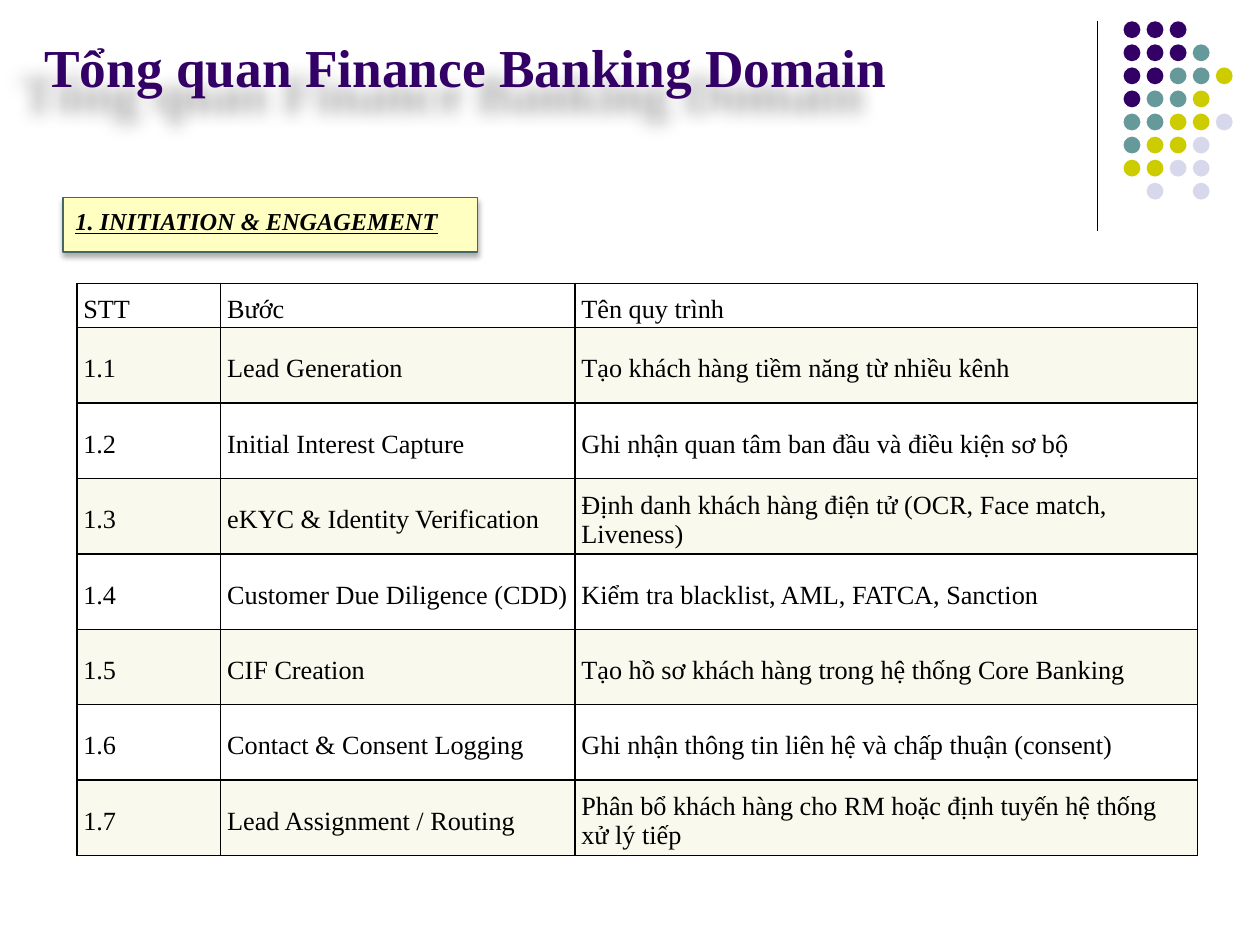
from dataclasses import dataclass

from lxml import etree
from pptx import Presentation
from pptx.dml.color import RGBColor
from pptx.enum.shapes import MSO_CONNECTOR, MSO_SHAPE
from pptx.enum.text import MSO_ANCHOR, MSO_AUTO_SIZE, PP_ALIGN
from pptx.oxml.ns import qn
from pptx.util import Cm, Pt

STRAIGHT = MSO_CONNECTOR.STRAIGHT
RECTANGLE, OVAL = MSO_SHAPE.RECTANGLE, MSO_SHAPE.OVAL
TOP, MIDDLE, BOTTOM = MSO_ANCHOR.TOP, MSO_ANCHOR.MIDDLE, MSO_ANCHOR.BOTTOM
LEFT = PP_ALIGN.LEFT
NO_FIT = MSO_AUTO_SIZE.NONE


@dataclass(frozen=True)
class Theme:
    """Colours, font and type sizes of the slide."""
    font: str = "Times New Roman"
    ink: str = "000000"
    purple: str = "330066"
    teal: str = "669999"
    lime: str = "CCCC00"
    lilac: str = "D8D8EC"
    label_fill: str = "FFFFC2"
    label_line: str = "456767"
    band: str = "E2E2AA"
    band_opacity: int = 20
    title_size: float = 30.5
    label_size: float = 13.9
    table_size: float = 15


THEME = Theme()
DOT_COLORS = {"P": THEME.purple, "T": THEME.teal, "Y": THEME.lime, "L": THEME.lilac}
DOT_ROWS = ["PPP", "PPPT", "PPTTY", "PTTY", "TTYYL", "TYYL", "YYLL", " L L"]
COLUMN_WIDTHS = [2.9, 7.14, 12.55]
HEADER_HEIGHT, ROW_HEIGHT = 0.89, 1.52
STEPS = [
    ("STT", "Bước", "Tên quy trình"),
    ("1.1", "Lead Generation", "Tạo khách hàng tiềm năng từ nhiều kênh"),
    ("1.2", "Initial Interest Capture", "Ghi nhận quan tâm ban đầu và điều kiện sơ bộ"),
    ("1.3", "eKYC & Identity Verification",
     "Định danh khách hàng điện tử (OCR, Face match, Liveness)"),
    ("1.4", "Customer Due Diligence (CDD)", "Kiểm tra blacklist, AML, FATCA, Sanction"),
    ("1.5", "CIF Creation", "Tạo hồ sơ khách hàng trong hệ thống Core Banking"),
    ("1.6", "Contact & Consent Logging", "Ghi nhận thông tin liên hệ và chấp thuận (consent)"),
    ("1.7", "Lead Assignment / Routing",
     "Phân bổ khách hàng cho RM hoặc định tuyến hệ thống xử lý tiếp"),
]


def rgb(color):
    """Turn a hex string into a colour."""
    return RGBColor.from_string(color)


def set_alpha(color_element, percent):
    """Give a colour element an opacity in percent."""
    etree.SubElement(color_element, qn("a:alpha"), val=str(percent * 1000))


def write_span(frame, text, size, color, bold=False, italic=False, underline=False):
    """Write one left-aligned run into the first paragraph of a frame."""
    para = frame.paragraphs[0]
    para.alignment = LEFT
    para.space_before = Pt(0)
    span = para.add_run()
    span.text = text
    font = span.font
    font.name, font.size = THEME.font, Pt(size)
    font.bold, font.italic, font.underline = bold, italic, underline
    font.color.rgb = rgb(color)


def add_shadow(shape, blur, distance, angle, opacity):
    """Give a shape a soft black outer shadow."""
    shape.shadow.inherit = False
    effects = shape._element.spPr.find(qn("a:effectLst"))
    outer = etree.SubElement(
        effects, qn("a:outerShdw"), blurRad=str(Pt(blur)), dist=str(Pt(distance)),
        dir=str(angle * 60000), algn="ctr", rotWithShape="0")
    set_alpha(etree.SubElement(outer, qn("a:srgbClr"), val=THEME.ink), opacity)


def add_rule(page):
    """Draw the vertical line beside the dots."""
    rule = page.shapes.add_connector(STRAIGHT, Cm(22.12), Cm(0.43), Cm(22.12), Cm(4.65))
    rule.line.color.rgb = rgb(THEME.ink)
    rule.line.width = Pt(0.75)
    etree.SubElement(rule._element.spPr, qn("a:effectLst"))


def add_dots(page):
    """Draw the grid of coloured dots as a group."""
    group = page.shapes.add_group_shape()
    left, top, pitch, size = 22.65, 0.43, 0.465, 0.34
    for row, marks in enumerate(DOT_ROWS):
        for column, mark in enumerate(marks):
            if mark in DOT_COLORS:
                dot = group.shapes.add_shape(
                    OVAL, Cm(left + column * pitch), Cm(top + row * pitch), Cm(size), Cm(size))
                dot.shadow.inherit = False
                dot.fill.solid()
                dot.fill.fore_color.rgb = rgb(DOT_COLORS[mark])
                dot.line.fill.background()


def add_title(page, text):
    """Place and format the title placeholder."""
    title = page.shapes.title
    title.left, title.top, title.width, title.height = Cm(0.64), Cm(0.64), Cm(21.39), Cm(1.47)
    frame = title.text_frame
    frame.auto_size, frame.word_wrap, frame.vertical_anchor = NO_FIT, True, BOTTOM
    write_span(frame, text, THEME.title_size, THEME.purple, bold=True)
    add_shadow(title, 10, 19.5, 135, 35)


def add_label(page, text):
    """Draw the section label."""
    box = page.shapes.add_shape(RECTANGLE, Cm(1.27), Cm(3.98), Cm(8.36), Cm(1.1))
    box.fill.solid()
    box.fill.fore_color.rgb = rgb(THEME.label_fill)
    box.line.color.rgb = rgb(THEME.label_line)
    box.line.width = Pt(0.75)
    add_shadow(box, 3.5, 2.2, 90, 32)
    frame = box.text_frame
    frame.word_wrap, frame.vertical_anchor = True, TOP
    frame.margin_top = Cm(0.18)
    write_span(frame, text, THEME.label_size, THEME.ink, bold=True, italic=True, underline=True)


def format_cell(cell, text, banded):
    """Fill in one table cell with its text, borders and band."""
    cell.vertical_anchor = MIDDLE
    cell.margin_left = cell.margin_right = Cm(0.13)
    cell.margin_top, cell.margin_bottom = Cm(0.23), Cm(0.08)
    write_span(cell.text_frame, text, THEME.table_size, THEME.ink)
    properties = cell._tc.get_or_add_tcPr()
    for side in ("lnL", "lnR", "lnT", "lnB"):
        border = etree.SubElement(properties, qn(f"a:{side}"), w=str(Pt(1)))
        fill = etree.SubElement(border, qn("a:solidFill"))
        etree.SubElement(fill, qn("a:srgbClr"), val=THEME.ink)
    if banded:
        cell.fill.solid()
        cell.fill.fore_color.rgb = rgb(THEME.band)
        set_alpha(properties.find(qn("a:solidFill"))[0], THEME.band_opacity)
    else:
        cell.fill.background()


def add_steps_table(page):
    """Build the table of process steps."""
    heights = [HEADER_HEIGHT] + [ROW_HEIGHT] * (len(STEPS) - 1)
    table = page.shapes.add_table(
        len(STEPS), len(COLUMN_WIDTHS), Cm(1.55), Cm(5.71),
        Cm(sum(COLUMN_WIDTHS)), Cm(sum(heights))).table
    table.first_row = table.horz_banding = False
    for column, width in zip(table.columns, COLUMN_WIDTHS):
        column.width = Cm(width)
    for index, (row, height, texts) in enumerate(zip(table.rows, heights, STEPS)):
        row.height = Cm(height)
        for cell, text in zip(row.cells, texts):
            format_cell(cell, text, index % 2 == 1)


def main():
    """Build the slide and save it."""
    deck = Presentation()
    deck.slide_width, deck.slide_height = Cm(25.4), Cm(19.05)
    page = deck.slides.add_slide(deck.slide_layouts[5])
    add_rule(page)
    add_dots(page)
    add_label(page, "1. INITIATION & ENGAGEMENT")
    add_steps_table(page)
    add_title(page, "Tổng quan Finance Banking Domain")
    deck.save("out.pptx")


if __name__ == "__main__":
    main()
